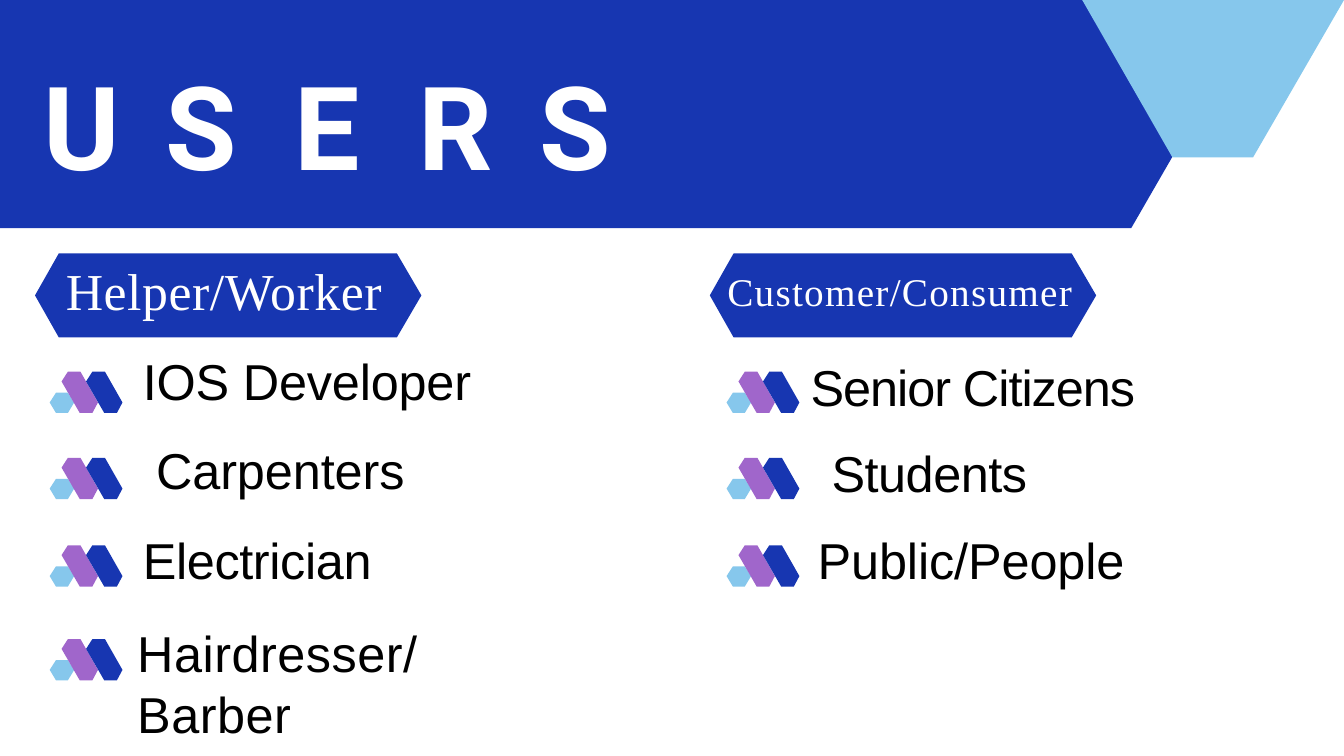
import pptx
import pptx.dml.color
import pptx.enum.text
import pptx.util

PX = 9525  # EMU per px, 96 px to the inch
NAVY, SKY, PURPLE, WHITE, BLACK = "1736B1", "86C7EC", "A066CB", "FFFFFF", "000000"

TAG = [(34, 0), (517, 0), (552, 60), (517, 120), (34, 120), (0, 60)]
HEXAGON = [(0, 44), (9, 30), (26, 30), (35, 44), (26, 59), (9, 59)]
SLANT = [(17, 14), (26, 0), (44, 0), (69, 44), (61, 59), (43, 59)]
SLANT_STEP = 35
ICON_TOPS = [531, 654, 779, 913]

# Title letters with their letter spacing in pt
TITLE = [("U ", 8.75), ("S ", 15.3), ("E ", 16.45), ("R ", 9.55), ("S", 0)]

# Items: text, indent in px, space before in pt, letter spacing in pt
WORKERS = [
    ("IOS Developer", 110, 31, -0.2),
    ("Carpenters", 129, 31, -0.1),
    ("Electrician", 110, 31, -0.4),
    ("Hairdresser/Barber", 102, 35, 0.6),
]
CUSTOMERS = [
    ("Senior Citizens", 119, 44, -1.1),
    ("Students", 149, 27, -0.5),
    ("Public/People", 129, 29, -0.1),
]


def px(length):
    return pptx.util.Emu(length * PX)


def colour(code):
    return pptx.dml.color.RGBColor.from_string(code)


def add_polygon(shapes, points, fill, left=0, top=0):
    moved = [(left + x, top + y) for x, y in points]
    builder = shapes.build_freeform(*moved[0], scale=PX)
    builder.add_line_segments(moved[1:], close=True)
    shape = builder.convert_to_shape()
    shape.shadow.inherit = False
    shape.fill.solid()
    shape.fill.fore_color.rgb = colour(fill)
    shape.line.fill.background()


def add_icon(page, left, top):
    group = page.shapes.add_group_shape()
    add_polygon(group.shapes, HEXAGON, SKY, left, top)
    add_polygon(group.shapes, SLANT, PURPLE, left, top)
    add_polygon(group.shapes, SLANT, NAVY, left + SLANT_STEP, top)


def prepare_frame(box):
    frame = box.text_frame
    frame.word_wrap = True
    frame.auto_size = pptx.enum.text.MSO_AUTO_SIZE.NONE
    frame.vertical_anchor = pptx.enum.text.MSO_ANCHOR.TOP
    frame.margin_left = frame.margin_right = 0
    frame.margin_top = frame.margin_bottom = 0
    return frame


def format_paragraph(para, font, size, fill, line, gap=0, indent=0):
    para.alignment = pptx.enum.text.PP_ALIGN.LEFT
    para.font.name = font
    para.font.size = pptx.util.Pt(size)
    para.font.color.rgb = colour(fill)
    para.line_spacing = pptx.util.Pt(line)
    para.space_before = pptx.util.Pt(gap)
    para._p.get_or_add_pPr().set("marL", str(px(indent)))


def add_span(para, text, tracking):
    span = para.add_run()
    span.text = text
    span._r.get_or_add_rPr().set("spc", str(round(tracking * 100)))


def set_title(page):
    title = page.shapes.title
    title.left, title.top, title.width, title.height = map(px, (62, 76, 837, 202))
    para = prepare_frame(title).paragraphs[0]
    format_paragraph(para, "Roboto", 124.5, WHITE, 150.5)
    para.font.bold = True
    for text, tracking in TITLE:
        add_span(para, text, tracking)
    # Bring the title in front of the header bar
    page.shapes._spTree.append(title._element)


def add_column(page, place, heading, size, line, tracking, items):
    frame = prepare_frame(page.shapes.add_textbox(*map(px, place)))
    para = frame.paragraphs[0]
    format_paragraph(para, "Times New Roman", size, WHITE, line)
    add_span(para, heading, tracking)
    for text, indent, gap, item_tracking in items:
        para = frame.add_paragraph()
        format_paragraph(para, "Arial", 54, BLACK, 65, gap, indent)
        add_span(para, text, item_tracking)


def main():
    deck = pptx.Presentation()
    deck.slide_width, deck.slide_height = px(1920), px(1080)
    page = deck.slides.add_slide(deck.slide_layouts[5])

    # Header
    add_polygon(page.shapes, [(0, 0), (1804, 0), (1616, 326), (0, 326)], NAVY)
    add_polygon(page.shapes, [(1546, 0), (1920, 0), (1790, 225), (1675, 225)], SKY)
    set_title(page)

    # Heading tags and item icons
    for tag_left, icon_left, items in [(50, 71, WORKERS), (1014, 1038, CUSTOMERS)]:
        add_polygon(page.shapes, TAG, NAVY, tag_left, 362)
        for top, _ in zip(ICON_TOPS, items):
            add_icon(page, icon_left, top)

    # Text columns
    add_column(page, (94, 317, 700, 662), "Helper/Worker", 55.5, 106, 0.6, WORKERS)
    add_column(page, (1039, 380, 585, 466), "Customer/Consumer", 42, 52, 1.4, CUSTOMERS)

    deck.save("out.pptx")


if __name__ == "__main__":
    main()
